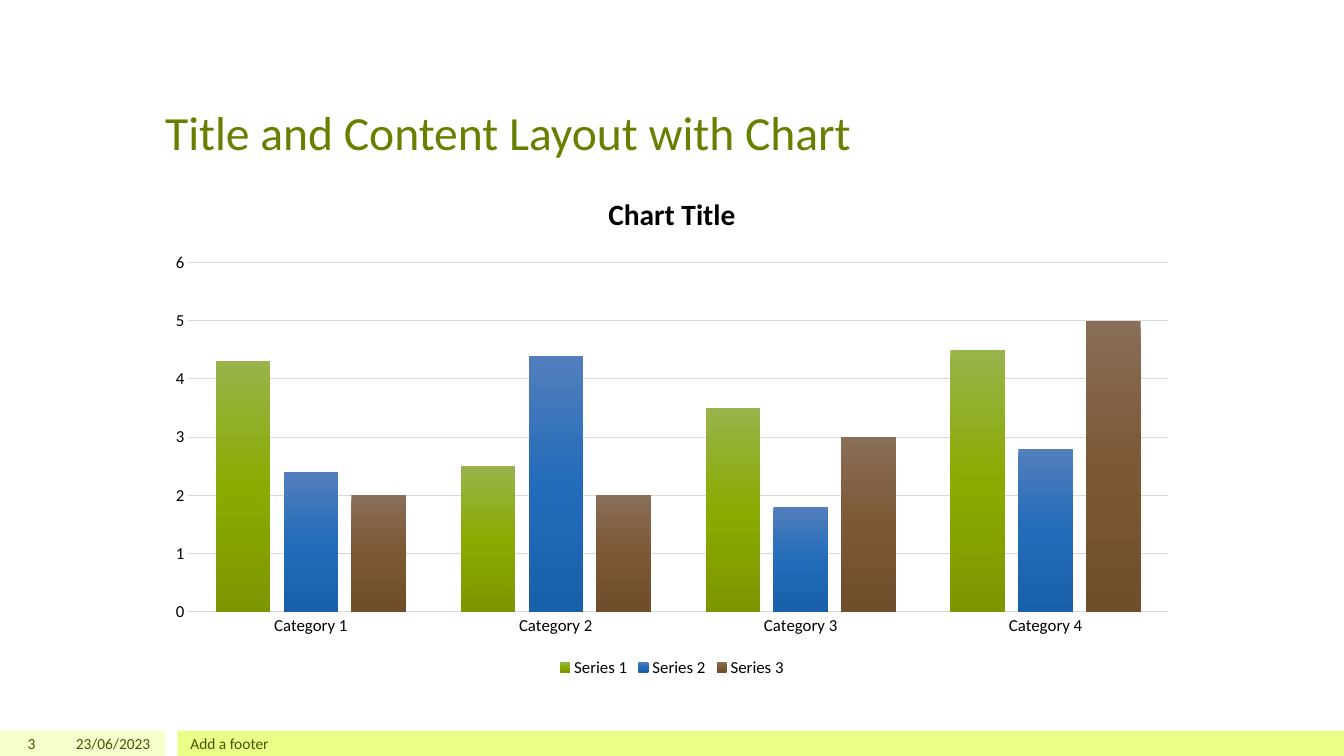
from copy import deepcopy
from dataclasses import dataclass

from lxml.etree import SubElement
from pptx import Presentation
from pptx.chart.data import CategoryChartData
from pptx.dml.color import RGBColor
from pptx.enum.chart import XL_CHART_TYPE, XL_LEGEND_POSITION, XL_TICK_MARK
from pptx.enum.shapes import MSO_SHAPE
from pptx.enum.text import MSO_ANCHOR, PP_ALIGN
from pptx.oxml.ns import qn
from pptx.util import Pt

EMU_PER_PX = 9144  # 100 px to the inch


@dataclass(frozen=True)
class Theme:
    font: str = "Calibri"
    title: str = "688000"
    footer: str = "455500"
    band_light: str = "F6FFCC"
    band: str = "E9FF88"
    chart_text: str = "000000"
    rule: str = "D9D9D9"
    title_size: int = 34
    footer_size: int = 11
    chart_title_size: int = 21
    chart_size: int = 12
    rule_width: float = 0.75


THEME = Theme()
CATEGORIES = [f"Category {number}" for number in range(1, 5)]
SERIES = [
    ("Series 1", (4.3, 2.5, 3.5, 4.5), ("98B44B", "8BAA00", "7C9700")),
    ("Series 2", (2.4, 4.4, 1.8, 2.8), ("527EBD", "236CB9", "1960AA")),
    ("Series 3", (2, 2, 3, 5), ("896E59", "7C5834", "714E2B")),
]


def px(*lengths):
    return [length * EMU_PER_PX for length in lengths]


def style_font(font, size, color, bold=False):
    font.name = THEME.font
    font.size = Pt(size)
    font.bold = bold
    font.color.rgb = RGBColor.from_string(color)


def add_text(slide, text, box, *, size, color, align=PP_ALIGN.LEFT,
             anchor=MSO_ANCHOR.MIDDLE, bottom_inset=5):
    frame = slide.shapes.add_textbox(*px(*box)).text_frame
    frame.word_wrap = True
    frame.vertical_anchor = anchor
    frame.margin_bottom = bottom_inset * EMU_PER_PX
    paragraph = frame.paragraphs[0]
    paragraph.alignment = align
    run = paragraph.add_run()
    run.text = text
    style_font(run.font, size, color)


def add_band(slide, box, color):
    shape = slide.shapes.add_shape(MSO_SHAPE.RECTANGLE, *px(*box))
    shape.shadow.inherit = False
    shape.fill.solid()
    shape.fill.fore_color.rgb = RGBColor.from_string(color)
    shape.line.fill.background()


def fill_gradient(series, colors):
    """Fill the bars from top to bottom with three evenly spaced colours."""
    fill = series.format.fill
    fill.gradient()
    fill.gradient_angle = 270
    stop_list = next(series.format.element.iter(qn("a:gsLst"))) \
        if hasattr(series.format, "element") else next(series._element.iter(qn("a:gsLst")))
    stop_list.insert(1, deepcopy(stop_list[0]))
    for index, (stop, color) in enumerate(zip(fill.gradient_stops, colors)):
        stop.position = index / 2
        stop.color.rgb = RGBColor.from_string(color)


def style_rule(line):
    line.color.rgb = RGBColor.from_string(THEME.rule)
    line.width = Pt(THEME.rule_width)


def style_axes(chart):
    for axis in (chart.category_axis, chart.value_axis):
        axis.major_tick_mark = XL_TICK_MARK.NONE
        axis.minor_tick_mark = XL_TICK_MARK.NONE
        style_font(axis.tick_labels.font, THEME.chart_size, THEME.chart_text)
    style_rule(chart.category_axis.format.line)
    value_axis = chart.value_axis
    value_axis.format.line.fill.background()
    value_axis.minimum_scale, value_axis.maximum_scale = 0, 6
    value_axis.major_unit = 1
    style_rule(value_axis.major_gridlines.format.line)


def add_column_chart(slide, box, title):
    data = CategoryChartData()
    data.categories = CATEGORIES
    for name, values, _ in SERIES:
        data.add_series(name, values)
    chart = slide.shapes.add_chart(
        XL_CHART_TYPE.COLUMN_CLUSTERED, *px(*box), data).chart
    style_font(chart.font, THEME.chart_size, THEME.chart_text)

    title_frame = chart.chart_title.text_frame
    title_frame.text = title
    style_font(title_frame.paragraphs[0].runs[0].font,
               THEME.chart_title_size, THEME.chart_text, bold=True)
    chart.chart_title.include_in_layout = False

    chart.has_legend = True
    chart.legend.position = XL_LEGEND_POSITION.BOTTOM
    chart.legend.include_in_layout = False
    style_font(chart.legend.font, THEME.chart_size, THEME.chart_text)

    style_axes(chart)
    plot = chart.plots[0]
    plot.vary_by_categories = False
    plot.gap_width = 100
    plot.overlap = -24
    for series, (_, _, colors) in zip(plot.series, SERIES):
        fill_gradient(series, colors)


def add_footer(slide):
    add_band(slide, (0, 725, 164, 25), THEME.band_light)
    add_band(slide, (176, 725, 1157, 25), THEME.band)
    for text, left, width, align in (
        ("3", 0, 45, PP_ALIGN.RIGHT),
        ("23/06/2023", 50, 109, PP_ALIGN.RIGHT),
        ("Add a footer", 179, 1000, PP_ALIGN.LEFT),
    ):
        add_text(slide, text, (left, 725, width, 25), align=align,
                 size=THEME.footer_size, color=THEME.footer)


def main():
    presentation = Presentation()
    presentation.slide_width, presentation.slide_height = px(1333, 750)
    slide = presentation.slides.add_slide(presentation.slide_layouts[6])
    add_footer(slide)
    add_text(slide, "Title and Content Layout with Chart", (154, 30, 1025, 129),
             size=THEME.title_size, color=THEME.title,
             anchor=MSO_ANCHOR.BOTTOM, bottom_inset=0)
    add_column_chart(slide, (154, 171, 1025, 505), "Chart Title")
    presentation.save("out.pptx")


if __name__ == "__main__":
    main()
